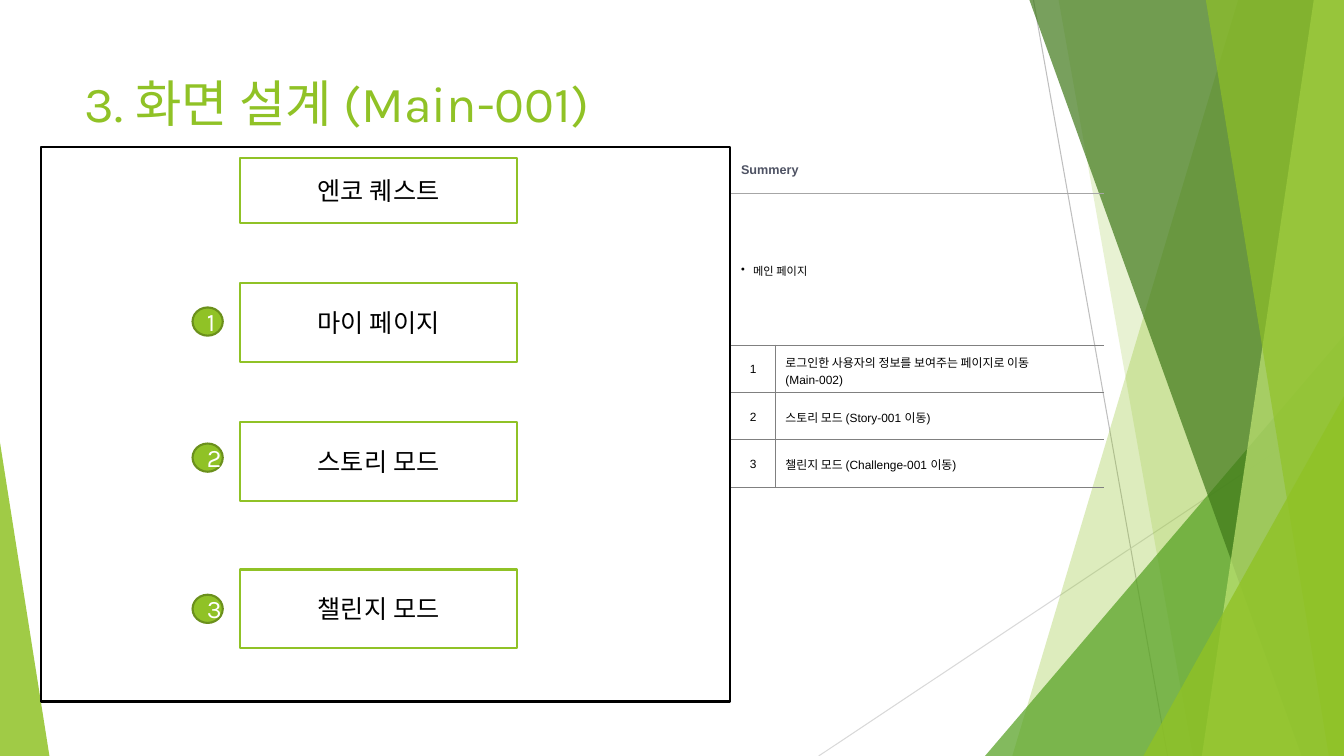
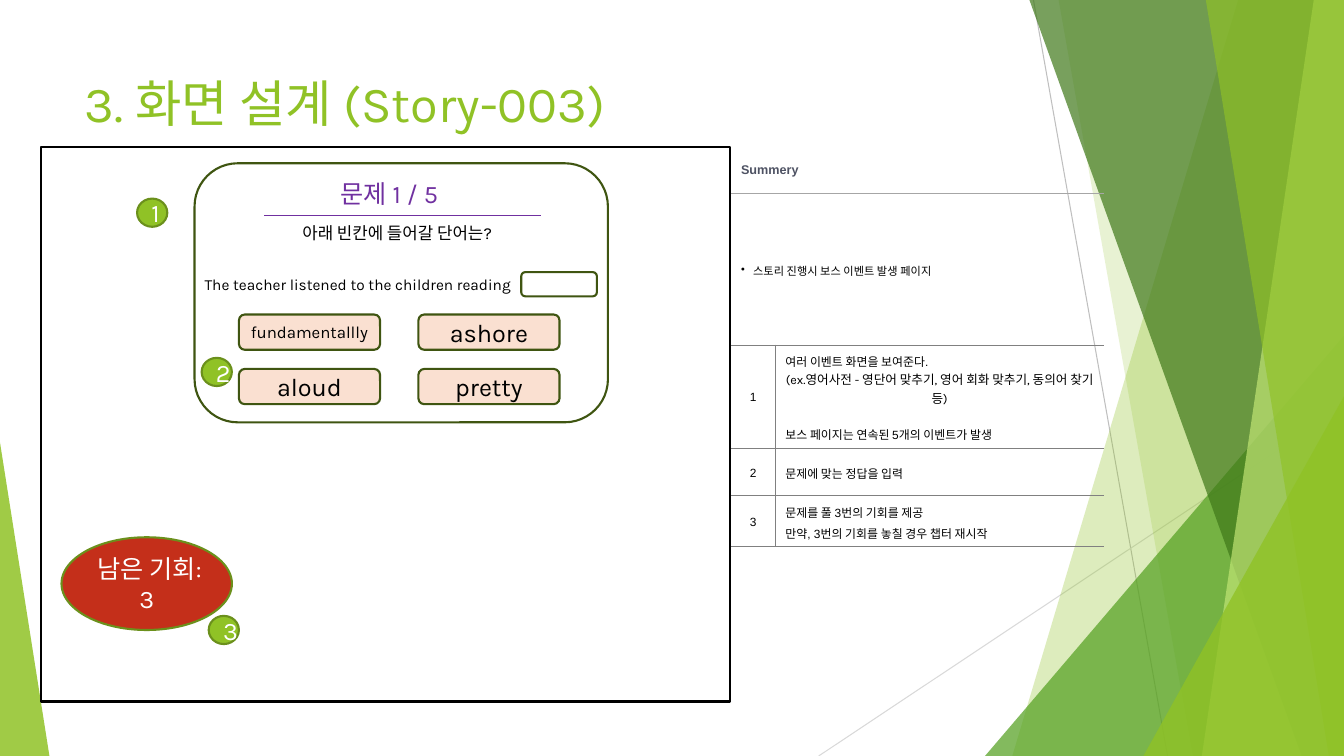
from dataclasses import dataclass

from lxml.etree import SubElement
from pptx import Presentation
from pptx.dml.color import RGBColor
from pptx.enum.shapes import MSO_CONNECTOR, MSO_SHAPE
from pptx.enum.text import MSO_ANCHOR, MSO_AUTO_SIZE, PP_ALIGN
from pptx.oxml.ns import qn
from pptx.shapes.autoshape import Shape
from pptx.slide import Slide
from pptx.table import _Cell
from pptx.text.text import TextFrame, _Paragraph
from pptx.util import Inches, Pt

WIDTH, HEIGHT = 13.33, 7.5
PLAIN_GRID = "{2D5ABB26-0587-4C30-8999-92F81FD0307C}"


@dataclass(frozen=True)
class Theme:
    lime: str = "90C226"
    green: str = "54A021"
    forest: str = "3F7819"
    pale: str = "C0E474"
    moss: str = "6B901C"
    olive: str = "3F5511"
    peach: str = "FAE0D1"
    red: str = "C42F1A"
    purple: str = "7030A0"
    slate: str = "4E5263"
    white: str = "FFFFFF"
    black: str = "000000"
    rule: str = "808080"
    soft: str = "A6A6A6"
    font: str = "Karla"
    grid_font: str = "Arial"
    title: float = 36
    body: float = 18
    small: float = 12
    tiny: float = 11
    head: float = 9
    cell: float = 8.5
    note: float = 8


T = Theme()


@dataclass(frozen=True)
class Box:
    left: float
    top: float
    width: float
    height: float

    def sides(self) -> tuple[Inches, ...]:
        return tuple(map(Inches, (self.left, self.top, self.width, self.height)))


@dataclass(frozen=True)
class Sheet:
    """A band from the slide's top to its foot, filled out to the right edge."""
    top: float
    foot: float
    color: str
    alpha: int


@dataclass(frozen=True)
class Wedge:
    box: Box
    apex: int
    color: str
    alpha: int


@dataclass(frozen=True)
class Line:
    """One paragraph of a table cell; the tail is a second run in the grid font."""
    text: str
    size: float = T.cell
    font: str = T.grid_font
    align: PP_ALIGN = PP_ALIGN.JUSTIFY
    spacing: float = 1.2
    before: float = 0
    color: str = T.black
    bold: bool = False
    bullet: bool = False
    tail: str = ""


BANDS = (
    Sheet(12.28, 10.04, T.lime, 30),
    Sheet(10.5, 11.83, T.lime, 20),
    Wedge(Box(9.77, 3.33, 3.56, 4.17), 1, T.green, 72),
    Sheet(10.21, 12.91, T.forest, 70),
    Sheet(13.03, 11.92, T.pale, 70),
    Sheet(11.96, 13.18, T.lime, 65),
    Wedge(Box(11.34, 3.93, 1.99, 3.57), 1, T.lime, 80),
    Wedge(Box(0, 4.39, 0.49, 3.11), 0, T.lime, 85),
)


def rgb(color: str) -> RGBColor:
    return RGBColor.from_string(color)


def style(par: _Paragraph, size: float, color: str, font: str = T.font) -> None:
    par.font.size = Pt(size)
    par.font.name = font
    par.font.color.rgb = rgb(color)


def draw_rule(slide: Slide, start: tuple[float, float], end: tuple[float, float],
              color: str, weight: float = 0.75) -> None:
    rule = slide.shapes.add_connector(
        MSO_CONNECTOR.STRAIGHT, *map(Inches, start + end))
    rule.line.color.rgb = rgb(color)
    rule.line.width = Pt(weight)
    SubElement(rule.element.spPr, qn("a:effectLst"))


def tint(shape: Shape, color: str, alpha: int) -> None:
    shape.shadow.inherit = False
    shape.fill.solid()
    shape.fill.fore_color.rgb = rgb(color)
    shape.line.fill.background()
    tone = shape.element.spPr.find(".//" + qn("a:srgbClr"))
    SubElement(tone, qn("a:alpha"), val=str(alpha * 1000))


def draw_band(slide: Slide, band: Sheet | Wedge) -> None:
    if isinstance(band, Wedge):
        shape = slide.shapes.add_shape(
            MSO_SHAPE.ISOSCELES_TRIANGLE, *band.box.sides())
        shape.adjustments[0] = band.apex
    else:
        edge = ((WIDTH, 0), (WIDTH, HEIGHT), (band.foot, HEIGHT))
        form = slide.shapes.build_freeform(Inches(band.top), Inches(0))
        form.add_line_segments([(Inches(x), Inches(y)) for x, y in edge])
        shape = form.convert_to_shape()
    tint(shape, band.color, band.alpha)


def draw_shape(slide: Slide, kind: MSO_SHAPE, box: Box, fill: str, line: str,
               text: str = "", size: float = T.body, color: str = T.black) -> None:
    shape = slide.shapes.add_shape(kind, *box.sides())
    shape.shadow.inherit = False
    shape.fill.solid()
    shape.fill.fore_color.rgb = rgb(fill)
    shape.line.color.rgb = rgb(line)
    shape.line.width = Pt(1.5)
    if text:
        frame = shape.text_frame
        frame.text = text
        frame.vertical_anchor = MSO_ANCHOR.MIDDLE
        par = frame.paragraphs[0]
        par.alignment = PP_ALIGN.CENTER
        style(par, size, color)


def draw_badge(slide: Slide, left: float, top: float, text: str) -> None:
    draw_shape(slide, MSO_SHAPE.OVAL, Box(left, top, 0.3, 0.28), T.lime, T.moss,
               text, color=T.white)


def draw_label(slide: Slide, box: Box, text: str, size: float,
               color: str = T.black, wrap: bool = False) -> None:
    frame = slide.shapes.add_textbox(*box.sides()).text_frame
    frame.word_wrap = wrap
    frame.auto_size = MSO_AUTO_SIZE.SHAPE_TO_FIT_TEXT
    frame.text = text
    style(frame.paragraphs[0], size, color)


def write_lines(frame: TextFrame, lines: list[Line]) -> None:
    for index, line in enumerate(lines):
        par = frame.add_paragraph() if index else frame.paragraphs[0]
        par.add_run().text = line.text
        par.alignment = line.align
        if line.bullet:
            props = par._p.get_or_add_pPr()
            props.set("marL", str(Inches(0.12)))
            props.set("indent", str(-Inches(0.12)))
            SubElement(props, qn("a:buChar"), char="•")
        par.line_spacing = line.spacing
        par.space_before = Pt(line.before)
        style(par, line.size, line.color, line.font)
        par.font.bold = line.bold
        if line.tail:
            run = par.add_run()
            run.text = line.tail
            run.font.name = T.grid_font


def set_edge(cell: _Cell, side: str, color: str) -> None:
    edge = SubElement(cell._tc.get_or_add_tcPr(), qn("a:ln" + side), w=str(Pt(0.25)))
    fill = SubElement(edge, qn("a:solidFill"))
    SubElement(fill, qn("a:srgbClr"), val=color)


def draw_table(slide: Slide, about: Line, items: list[list[Line]]) -> None:
    heights = [0.46, 1.5] + [0.47] * len(items)
    box = Box(7.25, 1.46, 3.7, sum(heights))
    frame = slide.shapes.add_table(len(heights), 2, *box.sides())
    frame.element.find(".//" + qn("a:tableStyleId")).text = PLAIN_GRID
    table = frame.table
    table.first_row = table.horz_banding = False
    for column, width in zip(table.columns, (0.44, 3.26)):
        column.width = Inches(width)
    head = Line("Summery", T.head, align=PP_ALIGN.LEFT, spacing=1,
                color=T.slate, bold=True)
    rows = [([head], []), ([about], [])]
    rows += [([Line(str(number), align=PP_ALIGN.CENTER)], lines)
             for number, lines in enumerate(items, 1)]
    for r, (height, row) in enumerate(zip(heights, rows)):
        table.rows[r].height = Inches(height)
        for c, lines in enumerate(row):
            cell = table.cell(r, c)
            cell.vertical_anchor = MSO_ANCHOR.MIDDLE
            if c and r > 1:
                set_edge(cell, "L", T.rule)
            if r:
                set_edge(cell, "T", T.soft if r == 1 else T.rule)
            set_edge(cell, "B", T.rule if r else T.soft)
            cell.fill.background()
            write_lines(cell.text_frame, lines)
        if r < 2:
            table.cell(r, 0).merge(table.cell(r, 1))


def add_page(deck: Presentation, name: str, about: Line,
             items: list[list[Line]]) -> Slide:
    """Add a slide with the bands, title, screen frame and summary table."""
    slide = deck.slides.add_slide(deck.slide_layouts[5])
    draw_rule(slide, (10.25, 0), (11.58, HEIGHT), "BFBFBF")
    draw_rule(slide, (WIDTH, 4.03), (8.12, HEIGHT), "D9D9D9")
    for band in BANDS:
        draw_band(slide, band)
    title = slide.shapes.title
    title.left, title.top, title.width, title.height = Box(0.74, 0.67, 9.4, 1.44).sides()
    frame = title.text_frame
    frame.text = f"3. 화면 설계 ({name})"
    frame.vertical_anchor = MSO_ANCHOR.TOP
    frame.auto_size = MSO_AUTO_SIZE.NONE
    par = frame.paragraphs[0]
    par.alignment = PP_ALIGN.LEFT
    style(par, T.title, T.lime)
    draw_shape(slide, MSO_SHAPE.RECTANGLE, Box(0.41, 1.46, 6.83, 5.5), T.white, T.black)
    draw_table(slide, about, items)
    return slide


def add_main(deck: Presentation) -> None:
    slide = add_page(deck, "Main-001", Line("메인 페이지", T.note, bullet=True), [
        [Line("로그인한 사용자의 정보를 보여주는 페이지로 이동"), Line("(Main-002)")],
        [Line("스토리 모드 (Story-001 이동)")],
        [Line("챌린지 모드 (Challenge-001 이동)")],
    ])
    for top, height, text in ((1.57, 0.64, "엔코 퀘스트"), (2.81, 0.78, "마이 페이지"),
                              (4.19, 0.78, "스토리 모드"), (5.65, 0.78, "챌린지 모드")):
        draw_shape(slide, MSO_SHAPE.RECTANGLE, Box(2.38, top, 2.75, height),
                   T.white, T.lime, text)
    for number, top in enumerate((3.05, 4.4, 5.9), 1):
        draw_badge(slide, 1.91, top, str(number))


def add_story(deck: Presentation) -> None:
    about = Line("스토리 진행시 보스 이벤트 발생 ", T.note, T.font, bullet=True, tail="페이지")
    slide = add_page(deck, "Story-003", about, [
        [Line("여러 이벤트 화면을 보여준다."),
         Line("(ex.영어사전 - 영단어 맞추기, 영어 회화 맞추기, 동의어 찾기 등)",
              T.head, T.font, PP_ALIGN.CENTER, 1),
         Line("보스 페이지는 연속된 5개의 이벤트가 발생", before=11)],
        [Line("문제에 맞는 정답을 입력")],
        [Line("문제를 풀 3번의 기회를 제공"),
         Line("만약, 3번의 기회를 놓칠 경우 챕터 재시작")],
    ])
    card = MSO_SHAPE.ROUNDED_RECTANGLE
    draw_shape(slide, card, Box(1.93, 1.62, 4.1, 2.57), T.white, T.olive)
    draw_rule(slide, (2.62, 2.14), (5.37, 2.14), T.purple, 1)
    draw_label(slide, Box(3.28, 1.72, 1.35, 0.4), "문제 1 / 5", T.body, T.purple)
    draw_label(slide, Box(2.9, 2.16, 2.31, 0.3), "아래 빈칸에 들어갈 단어는?", T.small)
    draw_label(slide, Box(1.93, 2.68, 3.32, 0.29),
               "The teacher listened to the children reading", T.tiny, wrap=True)
    draw_shape(slide, card, Box(5.17, 2.7, 0.75, 0.24), T.white, T.olive)
    words = (("fundamentallly", T.small), ("ashore", T.body),
             ("aloud", T.body), ("pretty", T.body))
    for index, (word, size) in enumerate(words):
        row, col = divmod(index, 2)
        box = Box(2.37 + 1.78 * col, 3.12 + 0.54 * row, 1.4, 0.35)
        draw_shape(slide, card, box, T.peach, T.olive, word, size)
    draw_shape(slide, MSO_SHAPE.OVAL, Box(0.61, 5.33, 1.69, 0.92), T.red, T.moss,
               "남은 기회:3", color=T.white)
    for number, (left, top) in enumerate(((1.36, 1.97), (2, 3.55), (2.07, 6.11)), 1):
        draw_badge(slide, left, top, str(number))


def main() -> None:
    deck = Presentation()
    deck.slide_width, deck.slide_height = Inches(WIDTH), Inches(HEIGHT)
    add_main(deck)
    add_story(deck)
    deck.save("out.pptx")


if __name__ == "__main__":
    main()
